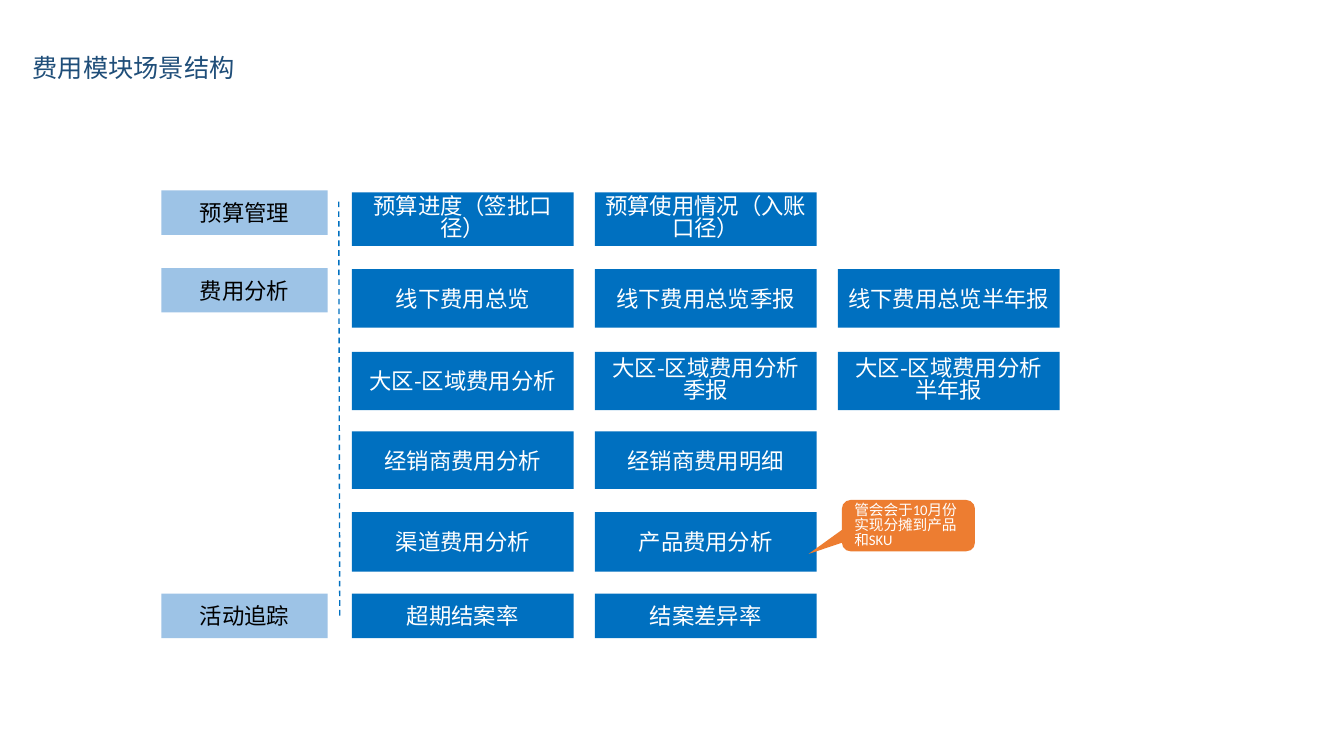
import pptx
import pptx.dml.color
import pptx.enum.dml
import pptx.enum.shapes
import pptx.enum.text
import pptx.oxml
import pptx.oxml.ns
import pptx.util

PX = 9144
CJK = "Noto Sans CJK SC"
COLORS = {
    "title": "1F4E79",
    "category": "9DC3E6",
    "scene": "0070C0",
    "note": "ED7D31",
    "dark": "000000",
    "light": "FFFFFF",
}
SHAPES = pptx.enum.shapes.MSO_SHAPE
ALIGN = pptx.enum.text.PP_ALIGN

deck = pptx.Presentation()
deck.slide_width = 1333 * PX
deck.slide_height = 750 * PX
slide = deck.slides.add_slide(deck.slide_layouts[6])


def rgb(name):
    return pptx.dml.color.RGBColor.from_string(COLORS[name])


def add_label(text, left, top, width, height, kind=None, fill=None, size=16,
              color="light", font=CJK, align=ALIGN.CENTER, spacing=None):
    bounds = [value * PX for value in (left, top, width, height)]
    if kind is None:
        label = slide.shapes.add_textbox(*bounds)
    else:
        label = slide.shapes.add_shape(kind, *bounds)
        label.shadow.inherit = False
        label.fill.solid()
        label.fill.fore_color.rgb = rgb(fill)
        label.line.fill.background()
        label.text_frame.vertical_anchor = pptx.enum.text.MSO_ANCHOR.MIDDLE
    label.text_frame.word_wrap = True
    paragraph = label.text_frame.paragraphs[0]
    paragraph.alignment = align
    paragraph.line_spacing = spacing
    run = paragraph.add_run()
    run.text = text
    run.font.size = pptx.util.Pt(size)
    run.font.name = font
    run.font.color.rgb = rgb(color)
    east_asian = pptx.oxml.parse_xml(
        f'<a:ea {pptx.oxml.ns.nsdecls("a")} typeface="{CJK}"/>')
    run.font._element.find(pptx.oxml.ns.qn("a:latin")).addnext(east_asian)
    return label


add_label("费用模块场景结构", 12, 47, 241, 42, size=18, color="title")

for category, top in [("预算管理", 189), ("费用分析", 266), ("活动追踪", 589)]:
    add_label(category, 160, top, 165, 44, kind=SHAPES.RECTANGLE,
              fill="category", color="dark")

divider = slide.shapes.add_connector(
    pptx.enum.shapes.MSO_CONNECTOR.STRAIGHT, 336 * PX, 200 * PX, 337 * PX, 612 * PX)
divider.line.color.rgb = rgb("scene")
divider.line.width = pptx.util.Pt(1)
divider.line.dash_style = pptx.enum.dml.MSO_LINE.DASH
divider._element.spPr.append(
    pptx.oxml.parse_xml(f'<a:effectLst {pptx.oxml.ns.nsdecls("a")}/>'))

scene_rows = [
    (191, 53, ["预算进度（签批口径）", "预算使用情况（入账口径）"]),
    (267, 58, ["线下费用总览", "线下费用总览季报", "线下费用总览半年报"]),
    (349, 58, ["大区-区域费用分析", "大区-区域费用分析季报", "大区-区域费用分析半年报"]),
    (428, 57, ["经销商费用分析", "经销商费用明细"]),
    (508, 59, ["渠道费用分析", "产品费用分析"]),
    (589, 44, ["超期结案率", "结案差异率"]),
]
for top, height, scenes in scene_rows:
    for column, scene in enumerate(scenes):
        add_label(scene, 349 + 241 * column, top, 220, height,
                  kind=SHAPES.RECTANGLE, fill="scene",
                  spacing=0.8 if len(scene) > 9 else None)

allocation_note = add_label(
    "管会会于10月份实现分摊到产品和SKU", 835, 496, 132, 51,
    kind=SHAPES.ROUNDED_RECTANGULAR_CALLOUT, fill="note", size=10.5,
    font="Calibri", align=ALIGN.LEFT, spacing=0.85)
for index, value in enumerate([-0.75, 0.55, 0.17]):
    allocation_note.adjustments[index] = value

deck.save("out.pptx")
